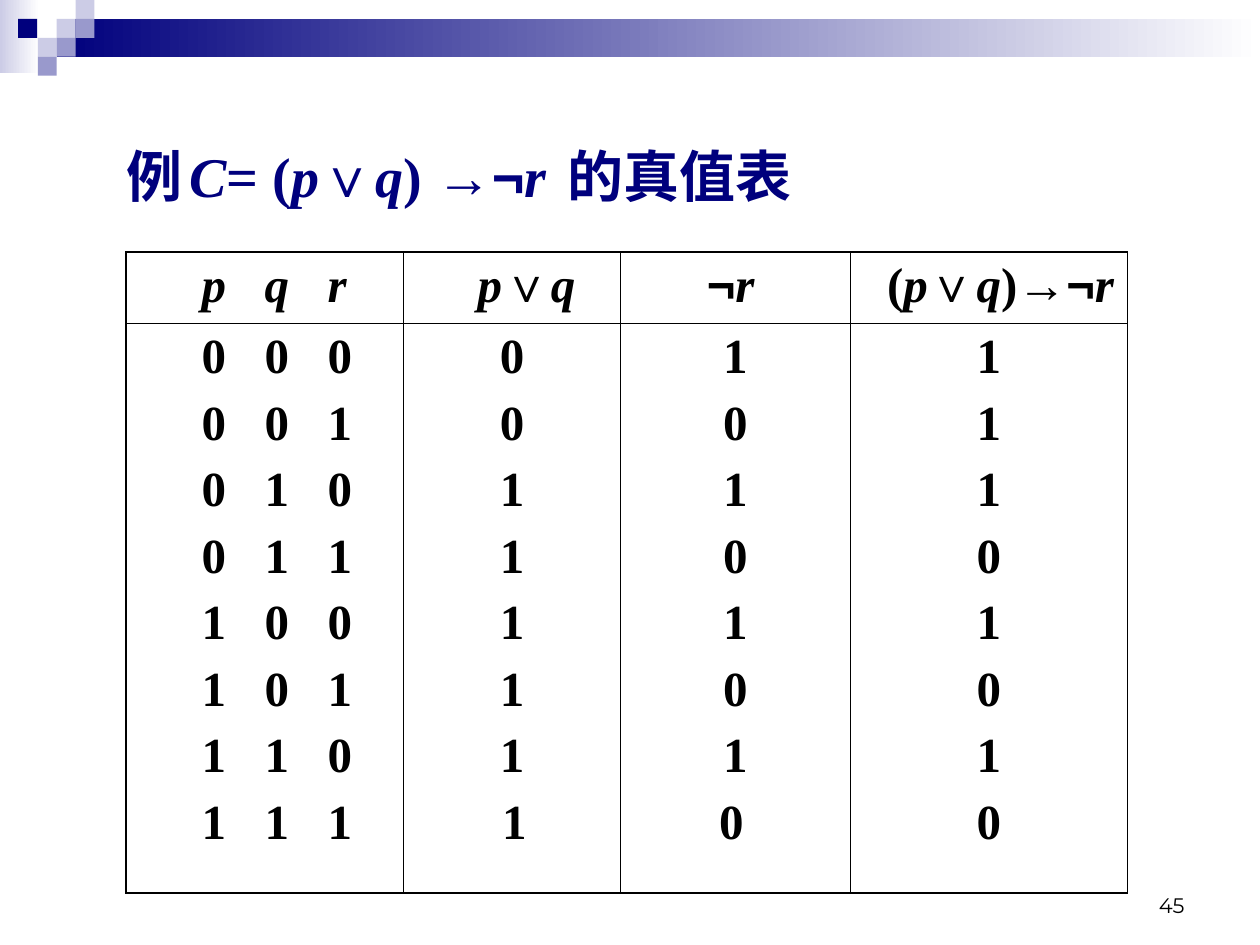
from dataclasses import dataclass
from itertools import groupby, product

from lxml.etree import SubElement
from pptx import Presentation
from pptx.dml.color import RGBColor
from pptx.enum.shapes import MSO_SHAPE as Shape
from pptx.enum.text import MSO_ANCHOR as Anchor, MSO_AUTO_SIZE as AutoSize, PP_ALIGN as Align
from pptx.oxml.ns import qn
from pptx.util import Pt


@dataclass(frozen=True)
class Theme:
    navy: str = "00007D"
    lilac: str = "CCCCE6"
    violet: str = "9999CC"
    white: str = "FFFFFF"
    black: str = "000000"
    serif: str = "Times New Roman"
    symbol: str = "Arial"
    chinese: str = "Noto Sans CJK SC"
    number: str = "Montserrat"
    title_size: float = 32
    table_size: float = 28
    number_size: float = 12
    outer_line: float = 1.08
    inner_line: float = 0.45


THEME = Theme()

# left, top, width, height, colour, end colour of a gradient
DECORATION = [
    (0, 0, 22.5, 42, THEME.lilac, THEME.white),
    (32.4, 10.8, 687.6, 21.6, THEME.navy, THEME.white),
    (32.4, 10.8, 10.8, 10.8, THEME.lilac, None),
    (43.2, 0, 10.8, 10.8, THEME.lilac, None),
    (43.2, 10.8, 10.8, 10.8, THEME.violet, None),
    (21.6, 21.6, 10.8, 10.8, THEME.lilac, None),
    (10.4, 10.8, 10.8, 10.8, THEME.navy, None),
    (32.4, 21.6, 10.8, 10.8, THEME.violet, None),
    (21.6, 32.4, 10.8, 10.8, THEME.violet, None),
]

COLUMN_WIDTHS = [158.7, 124, 131, 158.7]
ROW_HEIGHTS = [41, 325]
# header text, left indent, tab stops
HEADERS = [
    ("\tp\tq\tr", 0, (28, 63, 105)),
    ("p∨q", 35, ()),
    ("¬r", 42, ()),
    ("(p∨q)→¬r", 14, ()),
]
VARIABLE_TABS = (30, 65, 100)
LAST_VARIABLE_TABS = (28, 63, 98)
LAST_VALUE_INDENT = 49


def rgb(colour):
    return RGBColor.from_string(colour)


def font_style(character):
    """Return the font name and slant that a character has in a formula."""
    if character in "∨→¬":
        return THEME.symbol, False
    if character >= "一":
        return THEME.chinese, False
    return THEME.serif, character in "Cpqr"


def add_formula(paragraph, text, size, colour):
    for (name, italic), characters in groupby(text, font_style):
        run = paragraph.add_run()
        run.text = "".join(characters)
        font = run.font
        font.name, font.size = name, Pt(size)
        font.bold, font.italic = True, italic
        font.color.rgb = rgb(colour)
        SubElement(font._element, qn("a:ea"), typeface=name)


def format_paragraph(paragraph, before, align=Align.LEFT, indent=0, tabs=()):
    paragraph.alignment = align
    paragraph.space_before = Pt(before)
    properties = paragraph._p.get_or_add_pPr()
    properties.set("marL", str(Pt(indent)))
    properties.set("indent", "0")
    if tabs:
        stops = SubElement(properties, qn("a:tabLst"))
        for position in tabs:
            SubElement(stops, qn("a:tab"), pos=str(Pt(position)), algn="l")


def add_block(slide, left, top, width, height, colour, end_colour):
    block = slide.shapes.add_shape(
        Shape.RECTANGLE, Pt(left), Pt(top), Pt(width), Pt(height))
    block.shadow.inherit = False
    block.line.fill.background()
    if end_colour:
        block.fill.gradient()
        block.fill.gradient_angle = 0
        for stop, stop_colour in zip(block.fill.gradient_stops, (colour, end_colour)):
            stop.color.rgb = rgb(stop_colour)
    else:
        block.fill.solid()
        block.fill.fore_color.rgb = rgb(colour)


def add_title(slide):
    title = slide.shapes.title
    title.left, title.top, title.width, title.height = Pt(64.8), Pt(77), Pt(601), Pt(46)
    frame = title.text_frame
    frame.vertical_anchor = Anchor.TOP
    frame.auto_size = AutoSize.NONE
    frame.word_wrap = True
    paragraph = frame.paragraphs[0]
    format_paragraph(paragraph, 8, tabs=(54, 275))
    add_formula(paragraph, "例\tC= (p∨q) →¬r\t的真值表", THEME.title_size, THEME.navy)


def add_slide_number(slide, number):
    box = slide.shapes.add_textbox(Pt(516), Pt(492), Pt(168), Pt(36))
    frame = box.text_frame
    frame.word_wrap = True
    frame.vertical_anchor = Anchor.BOTTOM
    frame.text = number
    paragraph = frame.paragraphs[0]
    paragraph.alignment = Align.RIGHT
    font = paragraph.runs[0].font
    font.name, font.size = THEME.number, Pt(THEME.number_size)
    font.color.rgb = rgb(THEME.black)


def set_borders(cell, outer_sides):
    cell.fill.background()
    properties = cell._tc.get_or_add_tcPr()
    for place, side in enumerate("LRTB"):
        width = THEME.outer_line if side in outer_sides else THEME.inner_line
        line = SubElement(properties, qn(f"a:ln{side}"), w=str(Pt(width)))
        fill = SubElement(line, qn("a:solidFill"))
        SubElement(fill, qn("a:srgbClr"), val=THEME.black)
        properties.insert(place, line)


def truth_columns():
    """Work out the four columns of values, one text per row."""
    rows = []
    for p, q, r in product((0, 1), repeat=3):
        either, negation = p | q, 1 - r
        result = (1 - either) | negation
        rows.append((f"\t{p}\t{q}\t{r}", str(either), str(negation), str(result)))
    return list(zip(*rows))


def fill_values(cell, column, values):
    frame = cell.text_frame
    for row, value in enumerate(values):
        paragraph = frame.add_paragraph() if row else frame.paragraphs[0]
        is_last = row == len(values) - 1
        if column == 0:
            tabs = LAST_VARIABLE_TABS if is_last else VARIABLE_TABS
            format_paragraph(paragraph, 7, tabs=tabs)
        elif is_last and column < 3:
            format_paragraph(paragraph, 7, indent=LAST_VALUE_INDENT)
        else:
            format_paragraph(paragraph, 7, Align.CENTER)
        add_formula(paragraph, value, THEME.table_size, THEME.black)


def add_truth_table(slide):
    table = slide.shapes.add_table(
        2, len(HEADERS), Pt(72), Pt(144),
        Pt(sum(COLUMN_WIDTHS)), Pt(sum(ROW_HEIGHTS))).table
    table.first_row = table.horz_banding = False
    for row, height in zip(table.rows, ROW_HEIGHTS):
        row.height = Pt(height)
    side_edges = ("L", "", "", "R")
    for column, (header, values) in enumerate(zip(HEADERS, truth_columns())):
        table.columns[column].width = Pt(COLUMN_WIDTHS[column])
        head, body = table.cell(0, column), table.cell(1, column)
        set_borders(head, side_edges[column] + "T")
        set_borders(body, side_edges[column] + "B")
        text, indent, tabs = header
        paragraph = head.text_frame.paragraphs[0]
        format_paragraph(paragraph, 7, indent=indent, tabs=tabs)
        add_formula(paragraph, text, THEME.table_size, THEME.black)
        fill_values(body, column, values)


def main():
    deck = Presentation()
    deck.slide_width, deck.slide_height = Pt(720), Pt(540)
    slide = deck.slides.add_slide(deck.slide_layouts[5])
    for block in DECORATION:
        add_block(slide, *block)
    add_slide_number(slide, "45")
    add_title(slide)
    add_truth_table(slide)
    deck.save("out.pptx")


if __name__ == "__main__":
    main()
